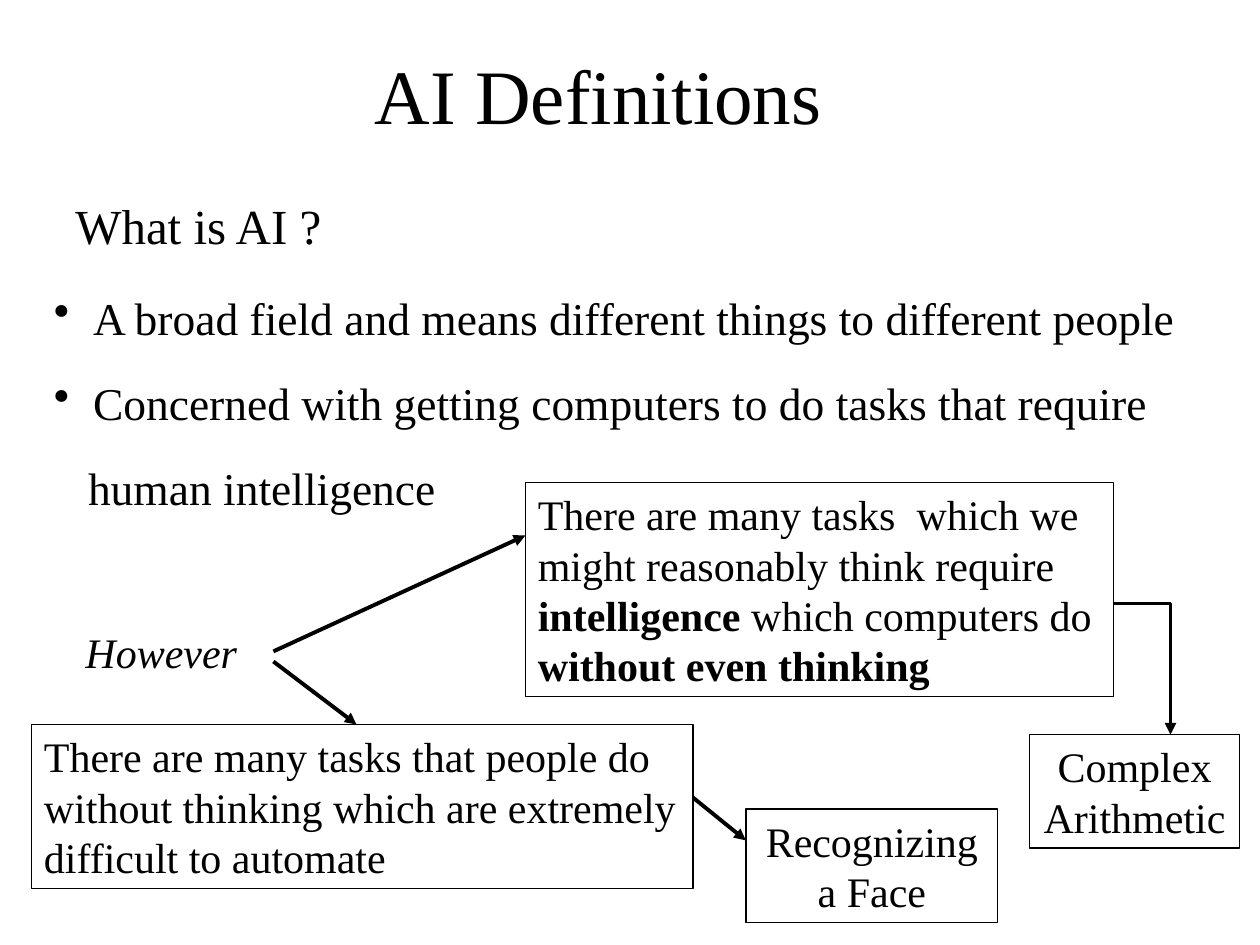
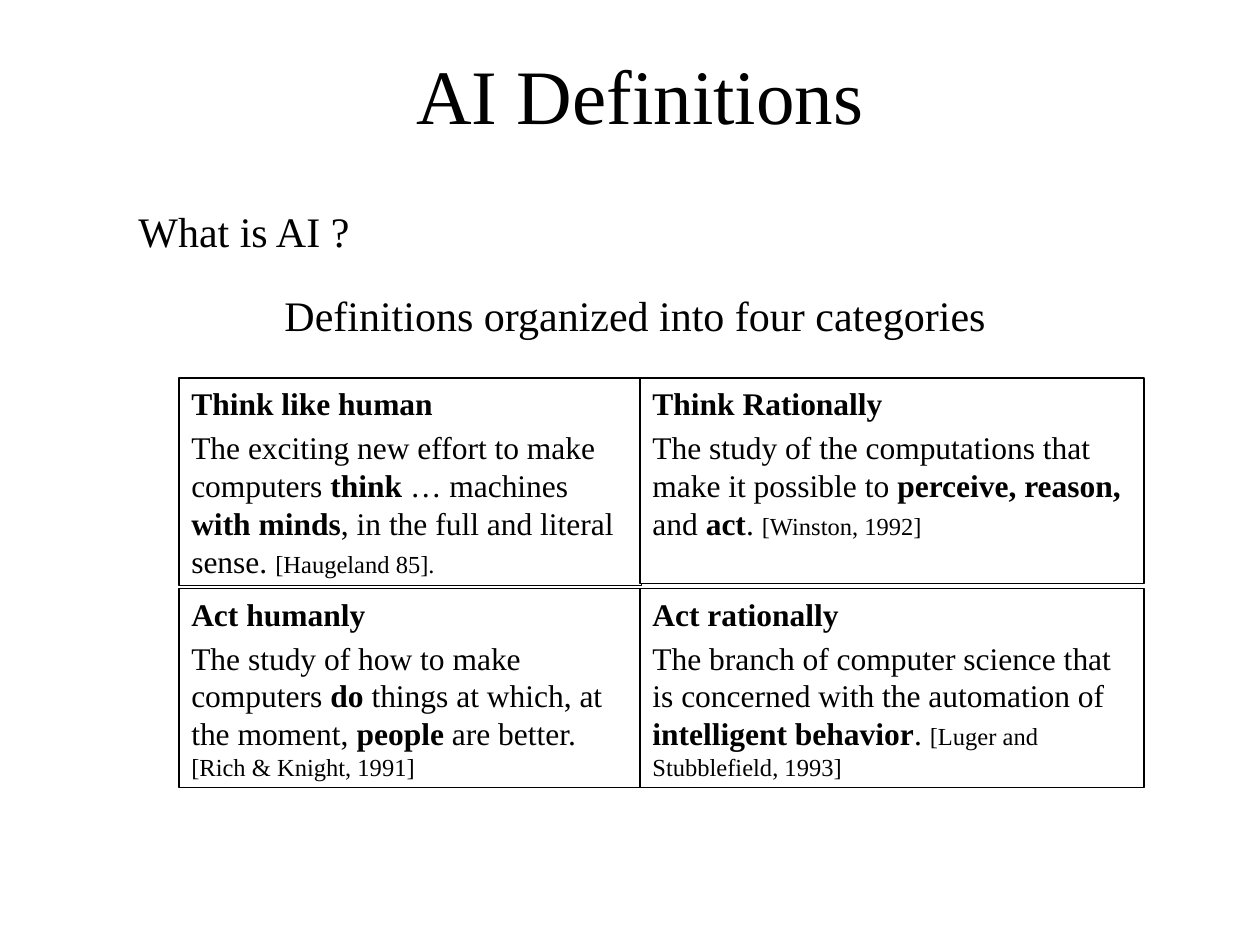
from dataclasses import dataclass
from itertools import product

from lxml import etree
from pptx import Presentation
from pptx.dml.color import RGBColor
from pptx.enum.shapes import MSO_CONNECTOR, MSO_SHAPE
from pptx.enum.text import MSO_ANCHOR, MSO_AUTO_SIZE, PP_ALIGN
from pptx.oxml.ns import qn
from pptx.util import Inches, Pt

LEFT, CENTER = PP_ALIGN.LEFT, PP_ALIGN.CENTER
TOP = MSO_ANCHOR.TOP
FIXED = MSO_AUTO_SIZE.NONE
RECT = MSO_SHAPE.RECTANGLE
STRAIGHT, ELBOW = MSO_CONNECTOR.STRAIGHT, MSO_CONNECTOR.ELBOW
TITLE_ONLY = 5


@dataclass(frozen=True)
class Theme:
    font: str = "Times New Roman"
    ink: RGBColor = RGBColor(0, 0, 0)
    paper: RGBColor = RGBColor(255, 255, 255)
    title: int = 44
    lead: int = 28
    point: int = 26
    body: int = 24
    cell: int = 18
    cite: int = 14
    edge: float = 0.75
    arrow: float = 2.25


THEME = Theme()
PLAIN = {}
BOLD = {"bold": True}
ITALIC = {"italic": True}
CITE = {"size": Pt(THEME.cite)}
FRAME = {
    "word_wrap": True,
    "auto_size": FIXED,
    "vertical_anchor": TOP,
    "margin_left": Inches(0.1),
    "margin_right": Inches(0.1),
    "margin_top": Inches(0.05),
    "margin_bottom": Inches(0.05),
}

POINTS = [
    ("A broad field and means different things to different people", 0.31, True),
    ("Concerned with getting computers to do tasks that require", 0.31, True),
    ("human intelligence", 0.27, False),
]

EASY = [
    ("There are many tasks  which we might reasonably think require ", PLAIN),
    ("intelligence", BOLD),
    (" which computers do ", PLAIN),
    ("without even thinking", BOLD),
]
HARD = [("There are many tasks that people do without thinking "
         "which are extremely difficult to automate", PLAIN)]

ARROWS = [
    ((2.17, 5.17), (4.17, 4.25), STRAIGHT),
    ((2.17, 5.25), (2.83, 5.75), STRAIGHT),
    ((5.5, 6.33), (5.92, 6.67), STRAIGHT),
    ((8.83, 4.79), (9.29, 5.83), ELBOW),
]

COLUMNS = [(1.42, 3.67), (5.08, 4)]
ROWS = [(3, (1.65, 1.63)), (4.67, (1.58, 1.58))]
VIEWS = [
    ("Think like human", [
        ("The exciting new effort to make computers ", PLAIN),
        ("think ", BOLD),
        ("… machines ", PLAIN),
        ("with minds", BOLD),
        (", in the full and literal sense. ", PLAIN),
        ("[Haugeland 85].", CITE),
    ]),
    ("Think Rationally", [
        ("The study of the computations that make it possible to ", PLAIN),
        ("perceive, reason, ", BOLD),
        ("and", PLAIN),
        (" act", BOLD),
        (". ", PLAIN),
        ("[Winston, 1992]", CITE),
    ]),
    ("Act humanly", [
        ("The study of how to make computers ", PLAIN),
        ("do", BOLD),
        (" things at which, at the moment, ", PLAIN),
        ("people", BOLD),
        (" are better. ", PLAIN),
        ("[Rich & Knight, 1991]", CITE),
    ]),
    ("Act rationally", [
        ("The branch of computer science that is concerned with "
         "the automation of ", PLAIN),
        ("intelligent behavior", BOLD),
        (". ", PLAIN),
        ("[Luger and Stubblefield, 1993]", CITE),
    ]),
]


def apply(target, values):
    for name, value in values.items():
        setattr(target, name, value)


def write(shape, paras, size, align=LEFT, gap=0):
    frame = shape.text_frame
    apply(frame, FRAME)
    for n, runs in enumerate(paras):
        para = frame.add_paragraph() if n else frame.paragraphs[0]
        apply(para, {"alignment": align, "space_before": Pt(gap if n else 0)})
        for text, style in runs:
            run = para.add_run()
            run.text = text
            base = {"name": THEME.font, "size": Pt(size), "bold": False}
            apply(run.font, base | style)
            run.font.color.rgb = THEME.ink
    return shape


def add_title(slide, text, left):
    title = slide.shapes.title
    apply(title, {"left": Inches(left), "top": Inches(0.33),
                  "width": Inches(6.5), "height": Inches(0.84)})
    write(title, [[(text, PLAIN)]], THEME.title, CENTER)


def add_text(slide, area, paras, size, gap=0):
    box = slide.shapes.add_textbox(*map(Inches, area))
    return write(box, paras, size, gap=gap)


def add_box(slide, area, paras, size, align=LEFT, gap=0):
    box = slide.shapes.add_shape(RECT, *map(Inches, area))
    box.shadow.inherit = False
    box.fill.solid()
    box.fill.fore_color.rgb = THEME.paper
    box.line.color.rgb = THEME.ink
    box.line.width = Pt(THEME.edge)
    return write(box, paras, size, align, gap)


def add_points(slide, area, points):
    paras = [[(text, PLAIN)] for text, _, _ in points]
    box = add_text(slide, area, paras, THEME.point, 17.5)
    for para, (_, indent, dot) in zip(box.text_frame.paragraphs, points):
        props = para._p.get_or_add_pPr()
        props.set("marL", str(Inches(indent)))
        props.set("indent", str(-Inches(indent) if dot else 0))
        if dot:
            etree.SubElement(props, qn("a:buChar"), char="•")


def add_arrow(slide, start, end, kind):
    line = slide.shapes.add_connector(kind, *map(Inches, start + end))
    line.line.color.rgb = THEME.ink
    line.line.width = Pt(THEME.arrow)
    props = line._element.spPr
    if kind == ELBOW:
        props.find(qn("a:prstGeom")).set("prst", "bentConnector2")
    etree.SubElement(props.find(qn("a:ln")), qn("a:tailEnd"), type="triangle")
    etree.SubElement(props, qn("a:effectLst"))


def add_slide(deck, left):
    slide = deck.slides.add_slide(deck.slide_layouts[TITLE_ONLY])
    add_title(slide, "AI Definitions", left)
    return slide


def build_field(deck):
    slide = add_slide(deck, 1.5)
    add_text(slide, (0.5, 1.5, 2.58, 0.57), [[("What is AI ?", PLAIN)]], THEME.lead)
    add_points(slide, (0.33, 2.25, 9.42, 1.85), POINTS)
    add_text(slide, (0.58, 4.92, 1.75, 0.5), [[("However", ITALIC)]], THEME.body)
    boxes = [
        ((4.17, 3.83, 4.67, 1.7), EASY, LEFT),
        ((8.17, 5.83, 1.67, 0.9), [("Complex Arithmetic", PLAIN)], CENTER),
        ((0.25, 5.75, 5.25, 1.3), HARD, LEFT),
        ((5.92, 6.42, 2, 0.9), [("Recognizing a Face", PLAIN)], CENTER),
    ]
    for area, runs, align in boxes:
        add_box(slide, area, [runs], THEME.body, align)
    for start, end, kind in ARROWS:
        add_arrow(slide, start, end, kind)


def build_views(deck):
    slide = add_slide(deck, 1.83)
    add_text(slide, (1, 1.58, 2.08, 0.5), [[("What is AI ?", PLAIN)]], THEME.body)
    add_text(slide, (2.16, 2.25, 5.86, 0.5),
             [[("Definitions organized into four categories", PLAIN)]], THEME.body)
    grid = product(ROWS, enumerate(COLUMNS))
    for ((top, heights), (n, (left, width))), (head, runs) in zip(grid, VIEWS):
        add_box(slide, (left, top, width, heights[n]),
                [[(head, BOLD)], runs], THEME.cell, gap=3.5)


def main():
    deck = Presentation()
    deck.slide_width, deck.slide_height = Inches(10), Inches(7.5)
    build_field(deck)
    build_views(deck)
    deck.save("out.pptx")


if __name__ == "__main__":
    main()
